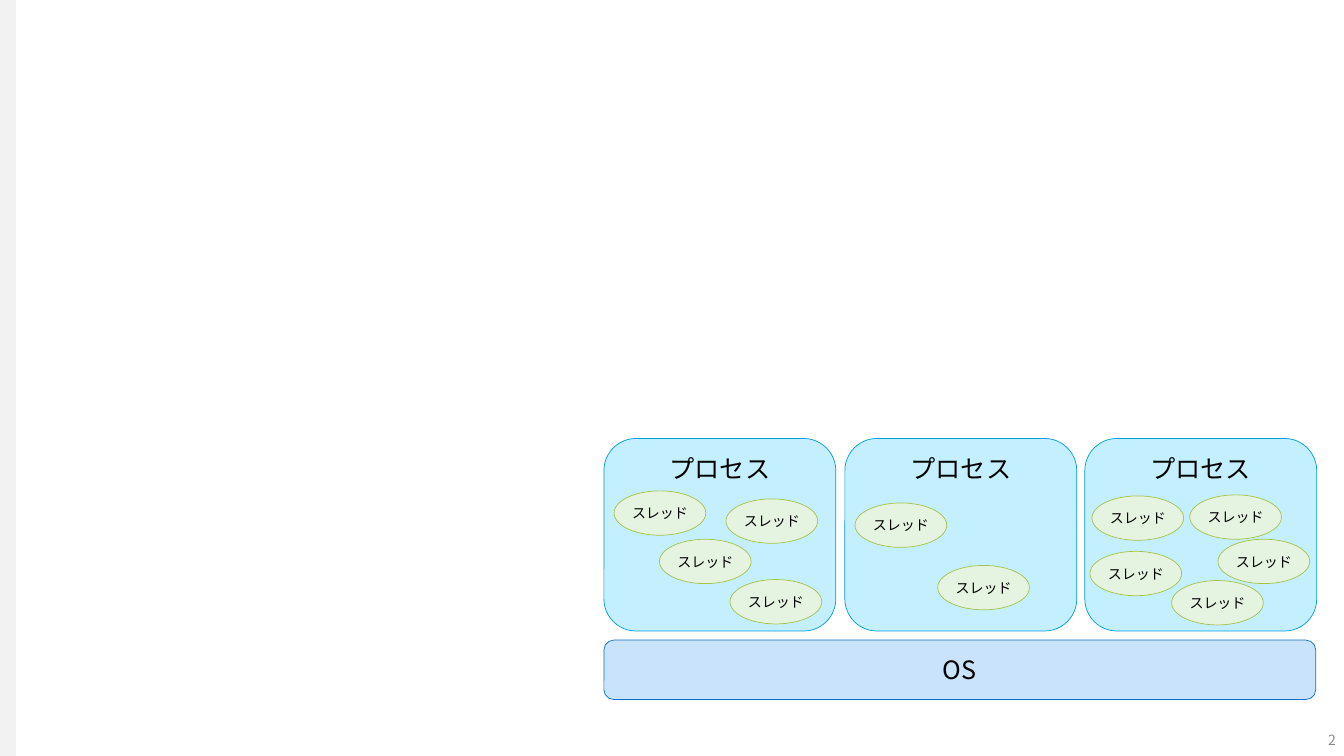
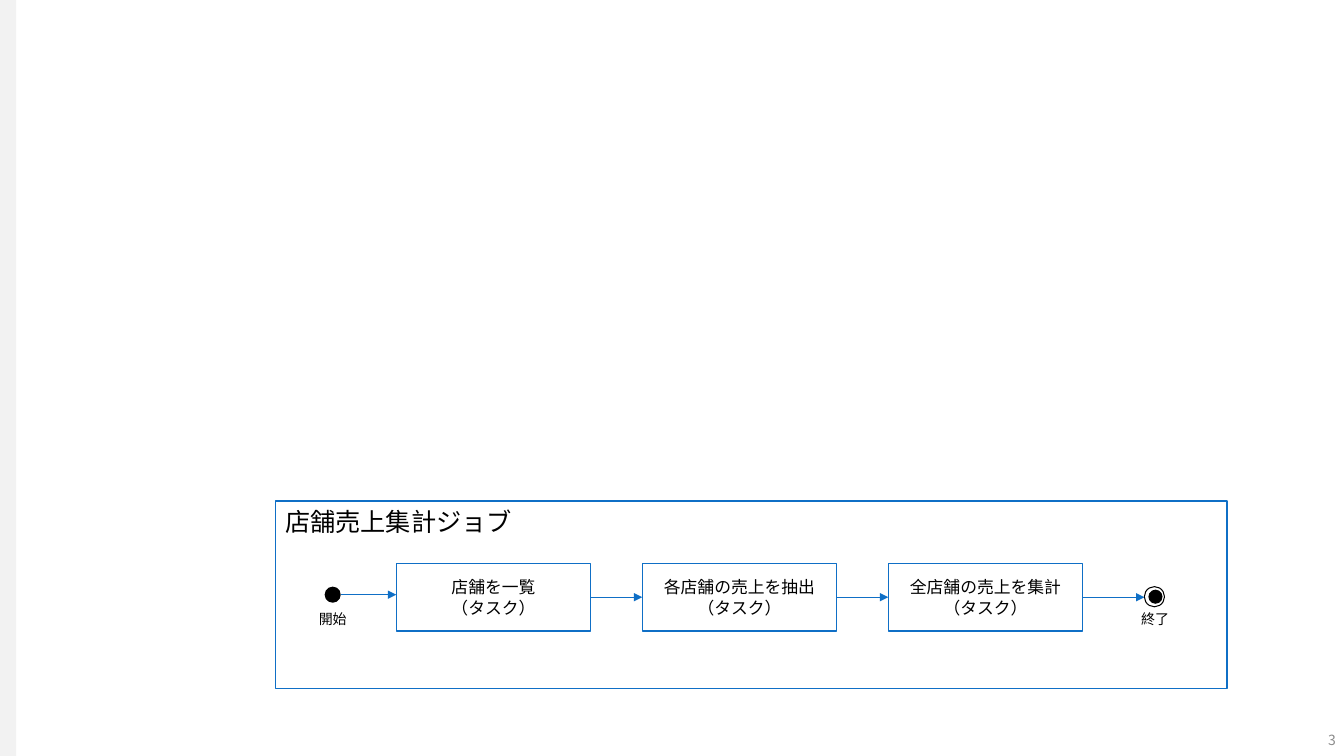
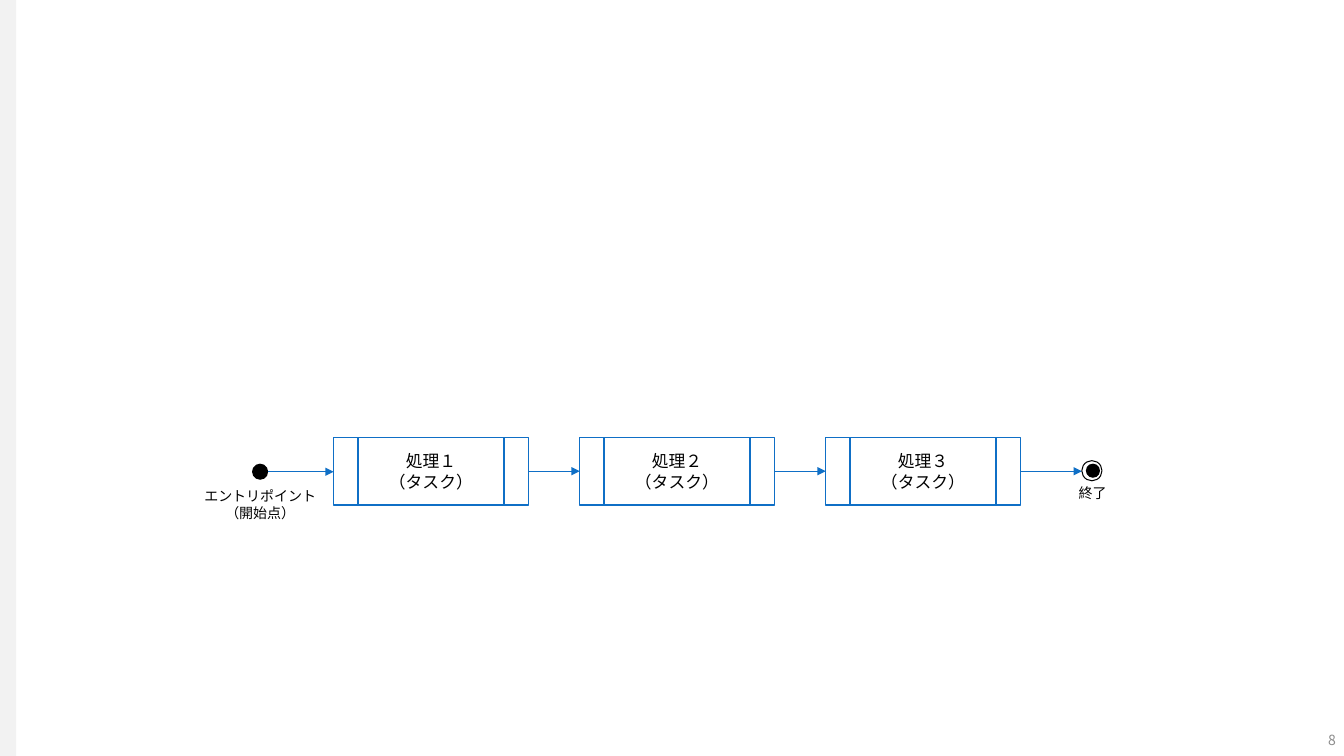
from lxml import etree
from pptx import Presentation
from pptx.dml.color import RGBColor
from pptx.enum import shapes, text
from pptx.oxml import ns
from pptx.util import Inches, Pt

FONT = "Noto Sans CJK JP"
BLACK = RGBColor(0x00, 0x00, 0x00)
GREY = RGBColor(0x8C, 0x8C, 0x8C)
BAND = RGBColor(0xF2, 0xF2, 0xF2)
BLUE = RGBColor(0x0F, 0x6F, 0xC6)
PALE_BLUE = RGBColor(0xC8, 0xE3, 0xFB)
CYAN = RGBColor(0x00, 0x9D, 0xD9)
PALE_CYAN = RGBColor(0xC4, 0xEF, 0xFF)
GREEN = RGBColor(0xA5, 0xC2, 0x49)
PALE_GREEN = RGBColor(0xE5, 0xF4, 0xE0)

KIND = shapes.MSO_SHAPE
TOP, MIDDLE = text.MSO_ANCHOR.TOP, text.MSO_ANCHOR.MIDDLE
LEFT, CENTER, RIGHT = text.PP_ALIGN.LEFT, text.PP_ALIGN.CENTER, text.PP_ALIGN.RIGHT


def put(parent, kind, box, label="", fill=None, line=None, width=0.5, size=10,
        color=BLACK, align=CENTER, anchor=MIDDLE, inset=None, wrap=True):
    """Add a preset shape, or a text box when kind is None, with its text."""
    box = [Inches(v) for v in box]
    if kind is None:
        sp = parent.add_textbox(*box)
    else:
        sp = parent.add_shape(kind, *box)
        sp.shadow.inherit = False
        if fill is None:
            sp.fill.background()
        else:
            sp.fill.solid()
            sp.fill.fore_color.rgb = fill
        if line is None:
            sp.line.fill.background()
        else:
            sp.line.color.rgb = line
            sp.line.width = Pt(width)
    if not label:
        return
    tf = sp.text_frame
    tf.text = label
    tf.word_wrap = wrap
    tf.vertical_anchor = anchor
    if not wrap:
        tf.auto_size = text.MSO_AUTO_SIZE.SHAPE_TO_FIT_TEXT
    if inset is not None:
        tf.margin_left = tf.margin_right = Inches(inset)
        tf.margin_top = tf.margin_bottom = Inches(inset)
    for p in tf.paragraphs:
        p.alignment = align
        for r in p.runs:
            r.font.name = FONT
            r.font.size = Pt(size)
            r.font.color.rgb = color
            ea = etree.SubElement(r.font._element, ns.qn("a:ea"))
            ea.set("typeface", FONT)


def arrow(s, x1, x2, y):
    """Add a horizontal arrow from x1 to x2."""
    cn = s.shapes.add_connector(shapes.MSO_CONNECTOR.STRAIGHT, Inches(x1),
                                Inches(y), Inches(x2), Inches(y))
    cn.line.color.rgb = BLUE
    cn.line.width = Pt(0.5)
    tail = etree.SubElement(cn.line._get_or_add_ln(), ns.qn("a:tailEnd"))
    tail.set("type", "triangle")
    etree.SubElement(cn._element.spPr, ns.qn("a:effectLst"))


prs = Presentation()
prs.slide_width, prs.slide_height = Inches(13.33), Inches(7.5)

# Side band and page number on every slide
slides = []
for number in ("2", "3", "8"):
    s = prs.slides.add_slide(prs.slide_layouts[6])
    put(s.shapes, KIND.RECTANGLE, (0, 0, 0.16, 7.5), fill=BAND)
    put(s.shapes, None, (12.23, 7.18, 1.1, 0.32), number, color=GREY,
        align=RIGHT, inset=0.08)
    slides.append(s)
process_slide, job_slide, flow_slide = slides

# Processes and their threads on top of the OS
put(process_slide.shapes, KIND.ROUNDED_RECTANGLE, (5.99, 6.35, 7.06, 0.59), "OS",
    fill=PALE_BLUE, line=BLUE, size=18)
for left in (5.99, 8.38, 10.76):
    put(process_slide.shapes, KIND.ROUNDED_RECTANGLE, (left, 4.35, 2.3, 1.91),
        "プロセス", fill=PALE_CYAN, line=CYAN, size=18, anchor=TOP)
threads = [
    (6.09, 4.87), (6.54, 5.35), (7.2, 4.95), (7.24, 5.75),
    (8.48, 4.99), (9.3, 5.61),
    (10.83, 4.92), (11.8, 4.91), (10.81, 5.47), (12.08, 5.35), (11.62, 5.76),
]
for left, top in threads:
    put(process_slide.shapes, KIND.OVAL, (left, top, 0.91, 0.44), "スレッド",
        fill=PALE_GREEN, line=GREEN, inset=0.04)

# Task chains: start dot, three tasks, end mark
put(job_slide.shapes, KIND.RECTANGLE, (2.73, 4.97, 9.44, 1.86), "店舗売上集計ジョブ",
    line=BLUE, width=1, size=18, align=LEFT, anchor=TOP)
TASK_W, TASK_H, STEP = 1.93, 0.67, 2.44
DOT, RING = 0.16, 0.2
chains = [
    (job_slide, KIND.RECTANGLE, 3.93, 5.59, (3.22, 5.82),
     ("店舗を一覧", "各店舗の売上を抽出", "全店舗の売上を集計"),
     "開始", (3.06, 6.01, 0.48, 0.27)),
    (flow_slide, KIND.FLOWCHART_PREDEFINED_PROCESS, 3.31, 4.34, (2.5, 4.6),
     ("処理１", "処理２", "処理３"),
     "エントリポイント\n（開始点）", (1.92, 4.79, 1.32, 0.44)),
]
for s, kind, left, top, (dot_x, dot_y), tasks, start, start_box in chains:
    middle = top + TASK_H / 2
    end_x, end_y = left + 7.42, top + 0.23
    put(s.shapes, KIND.OVAL, (dot_x, dot_y, DOT, DOT), fill=BLACK)
    arrow(s, dot_x + DOT, left, dot_y + DOT / 2)
    for i, task in enumerate(tasks):
        x = left + i * STEP
        put(s.shapes, kind, (x, top, TASK_W, TASK_H), task + "\n（タスク）",
            line=BLUE, width=1, size=12)
        arrow(s, x + TASK_W, x + STEP if i < len(tasks) - 1 else end_x, middle)
    end_mark = s.shapes.add_group_shape().shapes
    put(end_mark, KIND.OVAL, (end_x + 0.04, end_y + 0.03, 0.14, 0.14), fill=BLACK)
    put(end_mark, KIND.OVAL, (end_x, end_y, RING, RING), line=BLACK, width=0.75)
    put(s.shapes, None, start_box, start, anchor=TOP, wrap=False)
    put(s.shapes, None, (end_x - 0.13, top + 0.42, 0.48, 0.27), "終了",
        align=LEFT, anchor=TOP, wrap=False)

prs.save("out.pptx")
